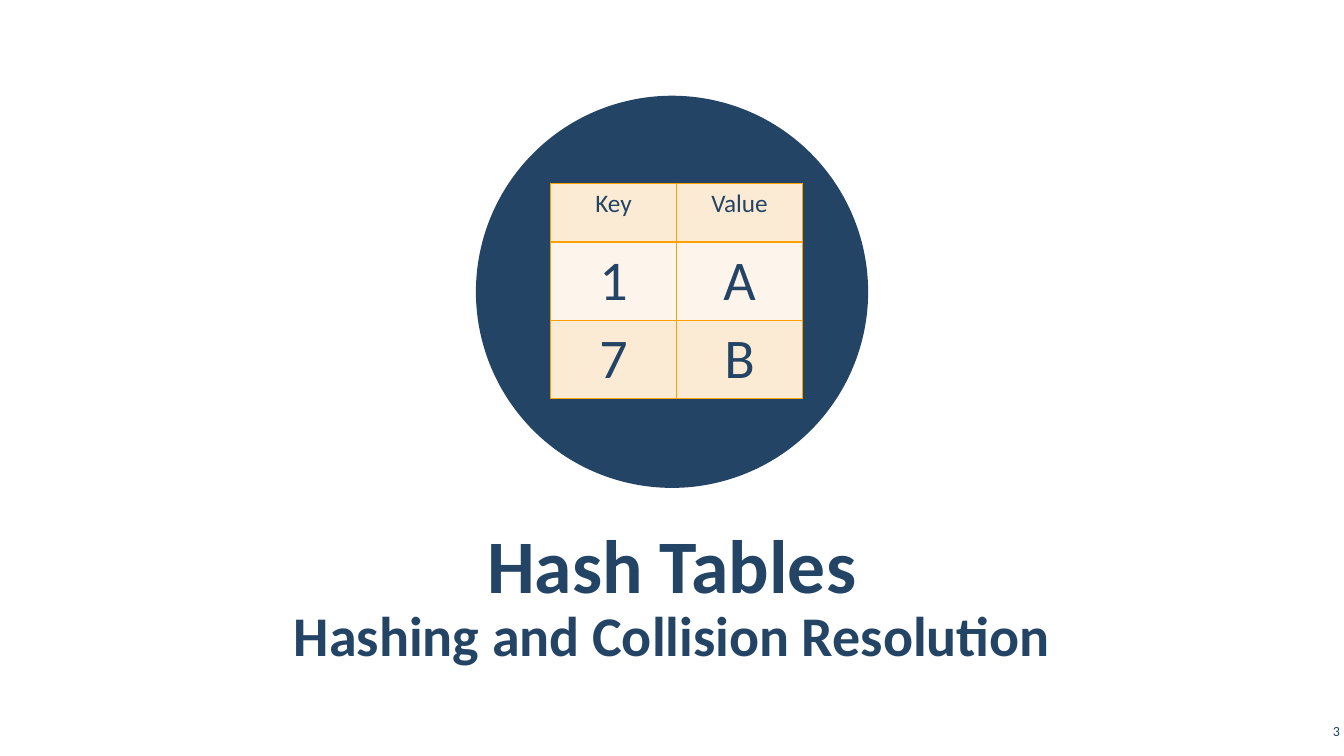
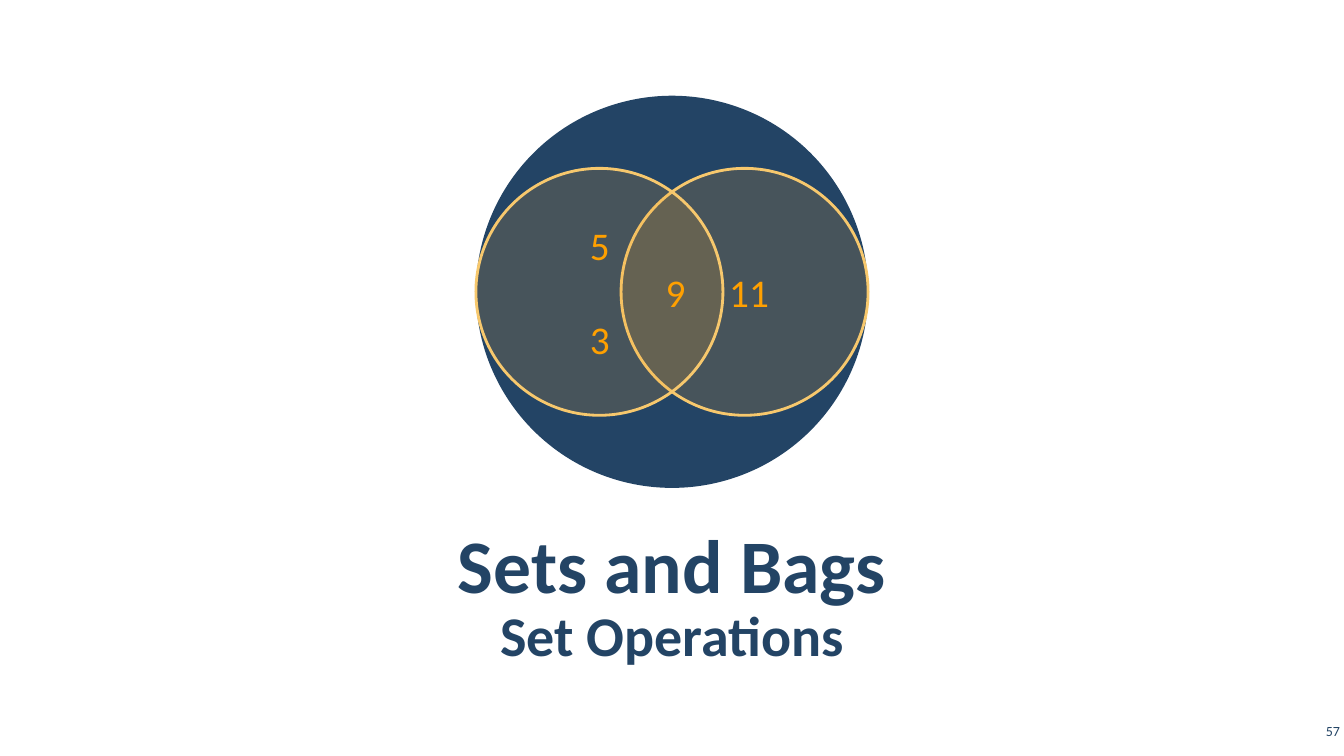
from lxml.etree import SubElement
from pptx import Presentation
from pptx.dml.color import RGBColor
from pptx.enum.shapes import MSO_SHAPE
from pptx.enum.text import MSO_ANCHOR, MSO_AUTO_SIZE, PP_ALIGN
from pptx.oxml.ns import qn
from pptx.util import Inches, Pt

COLORS = {
    "navy": "234465",
    "orange": "FFA000",
    "amber": "F0A22E",
    "outline": "F7C86D",
    "dark_row": "FCEBD4",
    "light_row": "FDF5EB",
}
FONT = "Calibri"
EMBLEM = (4.72, 0.95, 3.89)


def rgb(name):
    """Return the named colour of the palette."""
    return RGBColor.from_string(COLORS[name])


def inches(*lengths):
    """Convert several lengths to slide units."""
    return [Inches(length) for length in lengths]


def write(frame, text, size=18, color="navy", bold=False, align=PP_ALIGN.CENTER,
          anchor=MSO_ANCHOR.MIDDLE, insets=(0.04, 0.04), spacing=1.0):
    """Fill a text frame with one formatted paragraph."""
    frame.word_wrap = True
    frame.auto_size = MSO_AUTO_SIZE.NONE
    frame.vertical_anchor = anchor
    frame.margin_left = frame.margin_right = Inches(insets[0])
    frame.margin_top = frame.margin_bottom = Inches(insets[1])
    frame.text = text
    paragraph = frame.paragraphs[0]
    paragraph.alignment = align
    paragraph.line_spacing = spacing
    paragraph.space_before = Pt(0)
    paragraph.font.name = FONT
    paragraph.font.size = Pt(size)
    paragraph.font.bold = bold
    paragraph.font.color.rgb = rgb(color)


def add_label(slide, text, box, **style):
    """Add a text box in the given box."""
    label = slide.shapes.add_textbox(*inches(*box))
    write(label.text_frame, text, **style)


def add_disc(slide, left, top, diameter, fill, alpha=None, outline=None):
    """Add a circle, optionally see-through and outlined."""
    disc = slide.shapes.add_shape(
        MSO_SHAPE.OVAL, *inches(left, top, diameter, diameter))
    disc.shadow.inherit = False
    disc.fill.solid()
    disc.fill.fore_color.rgb = rgb(fill)
    if alpha is not None:
        color = disc.fill._xPr.find(qn("a:solidFill"))[0]
        SubElement(color, qn("a:alpha"), val=str(alpha * 1000))
    if outline:
        disc.line.color.rgb = rgb(outline)
        disc.line.width = Pt(2)
    else:
        disc.line.fill.background()


def border_cell(cell, color, width=1):
    """Draw a line on all four sides of a cell."""
    properties = cell._tc.get_or_add_tcPr()
    for position, side in enumerate(("a:lnL", "a:lnR", "a:lnT", "a:lnB")):
        line = SubElement(properties, qn(side), w=str(Pt(width)))
        properties.insert(position, line)
        fill = SubElement(line, qn("a:solidFill"))
        SubElement(fill, qn("a:srgbClr"), val=COLORS[color])


def add_section(deck, title, subtitle, number, draw_emblem):
    """Add a section slide with an emblem, headings and page number."""
    slide = deck.slides.add_slide(deck.slide_layouts[0])
    headings = ((title, (0.67, 5.15, 11.99, 0.84), 54),
                (subtitle, (0.67, 6, 11.99, 0.55), 40))
    for holder, (text, box, size) in zip(slide.placeholders, headings):
        holder.left, holder.top, holder.width, holder.height = inches(*box)
        write(holder.text_frame, text, size=size, bold=True,
              insets=(0.12, 0.04), spacing=1.05)
    add_label(slide, number, (12.86, 7.14, 0.47, 0.22), size=10,
              align=PP_ALIGN.RIGHT)
    add_disc(slide, *EMBLEM, "navy")
    draw_emblem(slide, *EMBLEM)


def draw_hash_table(slide, left, top, diameter):
    """Draw a small key and value table inside the emblem."""
    entries = (("Key", "Value"), ("1", "A"), ("7", "B"))
    heights = (0.58, 0.77, 0.77)
    width = 2.5
    table = slide.shapes.add_table(
        len(entries), 2,
        *inches(left + 0.74, top + 0.87, width, sum(heights))).table
    for column in table.columns:
        column.width = Inches(width / 2)
    for index, (entry, height) in enumerate(zip(entries, heights)):
        table.rows[index].height = Inches(height)
        for cell, text in zip(table.rows[index].cells, entry):
            cell.fill.solid()
            cell.fill.fore_color.rgb = rgb("light_row" if index % 2 else "dark_row")
            write(cell.text_frame, text, size=40 if index else 18)
            cell.margin_left = cell.margin_right = Inches(0.1)
            cell.margin_top = cell.margin_bottom = Inches(0.05)
            cell.vertical_anchor = MSO_ANCHOR.TOP
            border_cell(cell, "orange")


def draw_venn(slide, left, top, diameter):
    """Draw two overlapping sets across the emblem."""
    set_size = 2.45
    set_top = top + (diameter - set_size) / 2
    for set_left in (left + diameter - set_size, left):
        add_disc(slide, set_left, set_top, set_size, "amber",
                 alpha=18, outline="outline")
    middle = top + diameter / 2
    members = (("5", 1.23, -0.47), ("3", 1.23, 0.47),
               ("9", 1.98, 0), ("11", 2.71, 0))
    width, height = 0.6, 0.5
    for text, across, down in members:
        box = (left + across - width / 2, middle + down - height / 2, width, height)
        add_label(slide, text, box, size=28, color="orange", insets=(0, 0))


def main():
    """Build and save the deck."""
    deck = Presentation()
    deck.slide_width, deck.slide_height = inches(13.33, 7.5)
    add_section(deck, "Hash Tables", "Hashing and Collision Resolution", "3",
                draw_hash_table)
    add_section(deck, "Sets and Bags", "Set Operations", "57", draw_venn)
    deck.save("out.pptx")


if __name__ == "__main__":
    main()
